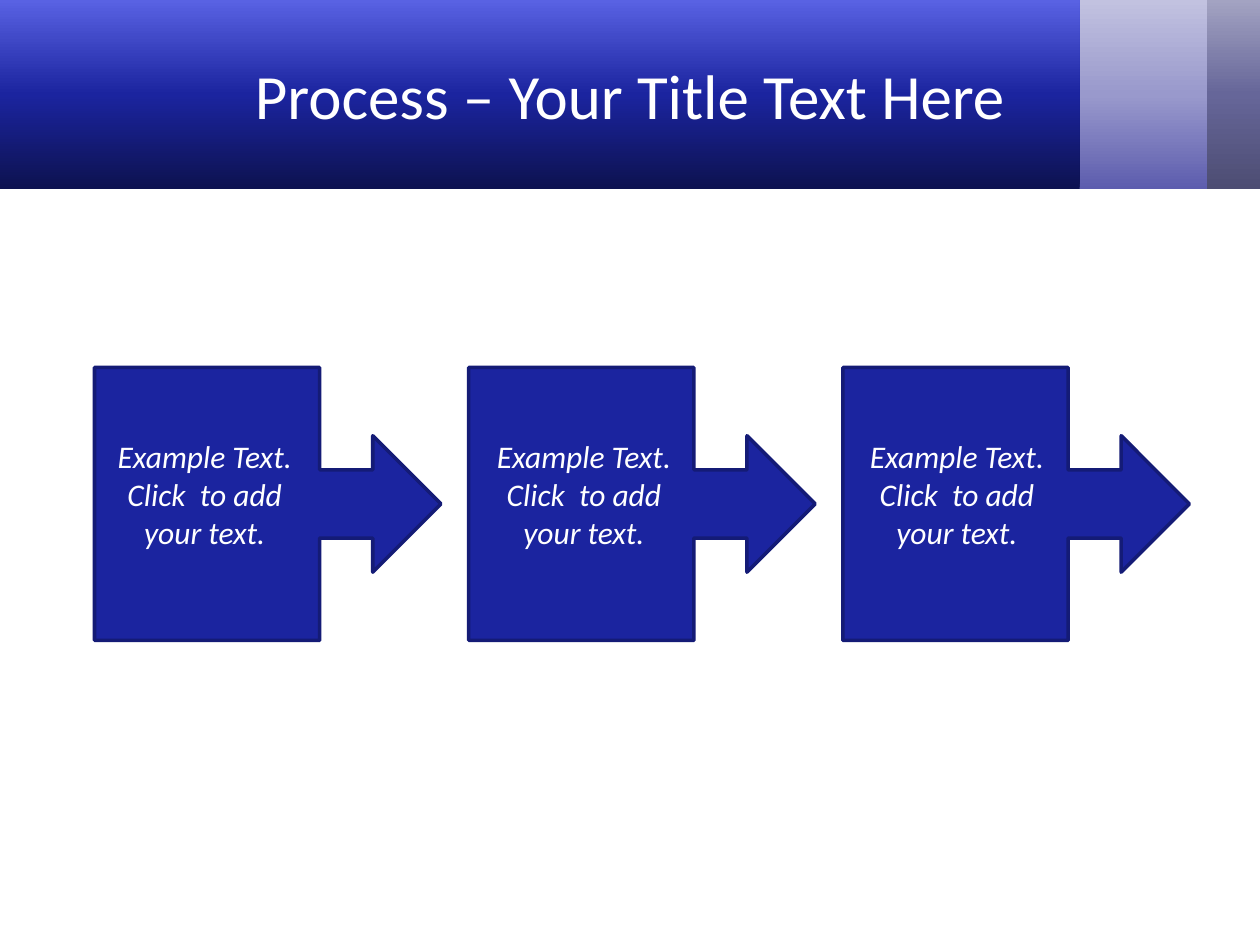
"""Build a three-step process slide with a gradient title band."""
from copy import deepcopy
from dataclasses import dataclass

from lxml import etree
from pptx import Presentation
from pptx.dml.color import RGBColor
from pptx.enum import shapes, text
from pptx.oxml.ns import qn
from pptx.util import Pt

HUES = {
    "white": "FFFFFF",
    "blue": "1B249F",
    "edge": "141B76",
    "black": "000000",
}
FONT = "Calibri"
PITCH = 213.84


@dataclass
class Band:
    left: float
    width: float
    stops: tuple[str, str, str]


@dataclass
class Step:
    left: float
    lines: tuple[str, ...] = ("Example Text.", "Click  to add your text.")


BANDS = (
    Band(678.96, 41.76, ("4D4D73", "666699", "A3A3C2")),
    Band(614.16, 75.6, ("5D5DAE", "9999CC", "C2C2E0")),
    Band(0, 617.04, ("0D1250", HUES["blue"], "5962E3")),
)
STEPS = (Step(54), Step(270.72), Step(483.84))


def hue(name: str) -> RGBColor:
    """Return a named colour."""
    return RGBColor.from_string(HUES[name])


def draw_band(slide, band: Band) -> None:
    """Draw one header band with a vertical three-stop gradient."""
    rect = slide.shapes.add_shape(
        shapes.MSO_SHAPE.RECTANGLE, Pt(band.left), 0, Pt(band.width), Pt(108))
    rect.shadow.inherit = False
    rect.line.fill.background()
    rect.fill.gradient()
    rect.fill.gradient_angle = 90
    stops = rect._element.spPr.find(".//" + qn("a:gsLst"))
    stops.insert(1, deepcopy(stops[0]))
    for stop, code, place in zip(rect.fill.gradient_stops, band.stops, (0, 0.5, 1)):
        stop.color.rgb = RGBColor.from_string(code)
        stop.position = place


def draw_arrow(slide, left: float) -> None:
    """Draw one callout box that points to the right."""
    arrow = slide.shapes.add_shape(
        shapes.MSO_SHAPE.RIGHT_ARROW_CALLOUT, Pt(left), Pt(210), Pt(198), Pt(156))
    arrow.shadow.inherit = False
    arrow.fill.solid()
    arrow.fill.fore_color.rgb = hue("blue")
    arrow.line.color.rgb = hue("edge")
    arrow.line.width = Pt(2)
    etree.SubElement(arrow.line._get_or_add_ln(), qn("a:round"))


def add_shade(run) -> None:
    """Give the letters of a run a soft shadow."""
    fx = etree.Element(qn("a:effectLst"))
    shade = etree.SubElement(
        fx, qn("a:outerShdw"), blurRad=str(Pt(3)), dist=str(Pt(3)), dir="2700000")
    tint = etree.SubElement(shade, qn("a:srgbClr"), val=HUES["black"])
    etree.SubElement(tint, qn("a:alpha"), val="43000")
    run._r.rPr.find(qn("a:solidFill")).addnext(fx)


def add_text(slide, left: float, top: float, width: float, height: float,
             lines: tuple[str, ...], size: float, italic: bool = False):
    """Add a box of centred white text and return its frame."""
    box = slide.shapes.add_textbox(Pt(left), Pt(top), Pt(width), Pt(height))
    frame = box.text_frame
    frame.word_wrap = True
    frame.text = "\n".join(lines)
    for para in frame.paragraphs:
        para.alignment = text.PP_ALIGN.CENTER
        for run in para.runs:
            run.font.name = FONT
            run.font.size = Pt(size)
            run.font.italic = italic
            run.font.color.rgb = hue("white")
    return frame


def draw_step(slide, step: Step) -> None:
    """Add the shaded caption of one step."""
    frame = add_text(slide, step.left, 246.24, 126, 72.72, step.lines, 18, True)
    frame.auto_size = text.MSO_AUTO_SIZE.SHAPE_TO_FIT_TEXT
    for para in frame.paragraphs:
        for run in para.runs:
            add_shade(run)


def main() -> None:
    """Build and save the slide."""
    deck = Presentation()
    deck.slide_width, deck.slide_height = Pt(720), Pt(540)
    slide = deck.slides.add_slide(deck.slide_layouts[6])
    for band in BANDS:
        draw_band(slide, band)
    title = add_text(slide, 36, 5.76, 648, 95.76,
                     ("Process – Your Title Text Here",), 36)
    title.vertical_anchor = text.MSO_ANCHOR.MIDDLE
    for rank in range(len(STEPS)):
        draw_arrow(slide, 54 + rank * PITCH)
    for step in STEPS:
        draw_step(slide, step)
    deck.save("out.pptx")


if __name__ == "__main__":
    main()
